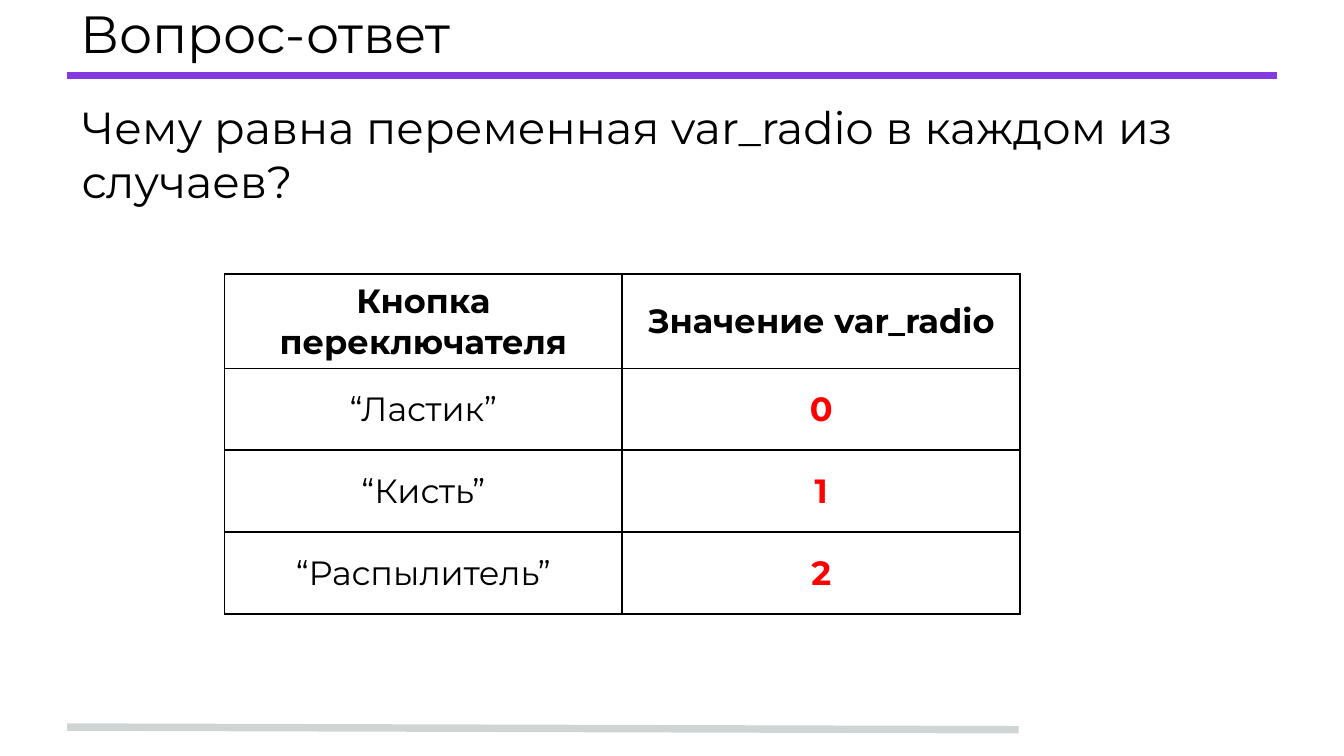
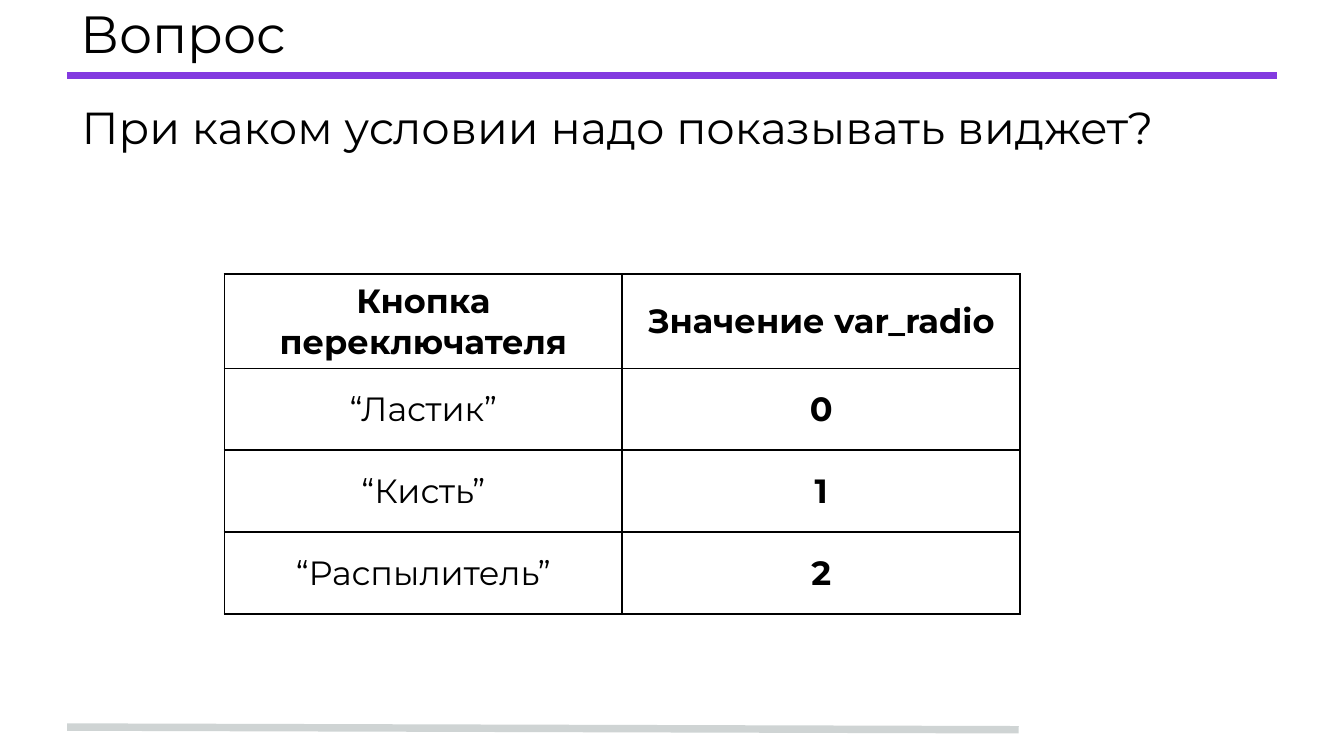
from lxml.etree import SubElement as sub_element
from pptx import Presentation
from pptx.dml.color import RGBColor as Rgb
from pptx.enum.shapes import MSO_CONNECTOR as Connector
from pptx.enum.text import MSO_ANCHOR as Anchor, PP_ALIGN as Align
from pptx.oxml.ns import qn
from pptx.util import Inches, Pt

COLORS = {
    "background": "FFFFFF",
    "text": "000000",
    "answer": "FF0000",
    "title_rule": "833AE0",
    "footer_rule": "CFD4D4",
}
FONT = "Montserrat"
SLIDE_WIDTH = 10
SLIDE_HEIGHT = SLIDE_WIDTH * 9 / 16
LEFT, WIDTH = 0.5, 9
HEADER = ("Кнопка переключателя", "Значение var_radio")
BUTTONS = ("“Ластик”", "“Кисть”", "“Распылитель”")
COLUMN_WIDTH, ROW_HEIGHT = 2.96, 0.61


def color(key):
    """Return the named colour."""
    return Rgb.from_string(COLORS[key])


def apply_format(target, values):
    """Set every attribute of the target from a dict of values."""
    for attribute, value in values.items():
        setattr(target, attribute, value)


def write(frame, text, size, bold=False, color_key="text", indent=0, **paragraph_format):
    """Write one formatted paragraph into a text frame."""
    paragraph = frame.paragraphs[0]
    apply_format(paragraph, paragraph_format)
    if indent:
        paragraph._p.get_or_add_pPr().set("marL", str(Inches(indent)))
    run = paragraph.add_run()
    run.text = text
    apply_format(run.font, {"name": FONT, "size": Pt(size), "bold": bold})
    run.font.color.rgb = color(color_key)


def add_rule(slide, start, end, color_key):
    """Draw a thick line between two points."""
    rule = slide.shapes.add_connector(
        Connector.STRAIGHT, *(Inches(length) for length in (*start, *end))
    )
    rule.line.width = Pt(4)
    rule.line.color.rgb = color(color_key)
    sub_element(rule._element.spPr, qn("a:effectLst"))


def add_text(slide, text, top, height, size, anchor, **paragraph_format):
    """Add a full-width text block."""
    block = slide.shapes.add_textbox(
        Inches(LEFT), Inches(top), Inches(WIDTH), Inches(height)
    )
    frame = block.text_frame
    margins = {f"margin_{side}": Inches(0.1) for side in ("left", "top", "right", "bottom")}
    apply_format(frame, {"word_wrap": True, "vertical_anchor": anchor, **margins})
    write(frame, text, size, **paragraph_format)


def add_borders(cell):
    """Outline a cell with thin lines, placed ahead of its fill."""
    properties = cell._tc.get_or_add_tcPr()
    for position, side in enumerate(("lnL", "lnR", "lnT", "lnB")):
        border = sub_element(properties, qn(f"a:{side}"), w=str(Pt(1)))
        fill = sub_element(border, qn("a:solidFill"))
        sub_element(fill, qn("a:srgbClr"), val=COLORS["text"])
        properties.insert(position, border)


def add_values_table(slide, value_color):
    """Add the table of buttons and their var_radio values."""
    rows = [HEADER, *((button, str(value)) for value, button in enumerate(BUTTONS))]
    table = slide.shapes.add_table(
        len(rows), len(HEADER), Inches(1.67), Inches(2.04),
        Inches(COLUMN_WIDTH * len(HEADER)), Inches(ROW_HEIGHT * len(rows)),
    ).table
    apply_format(table, {"first_row": False, "horz_banding": False})
    for row_index, row in enumerate(rows):
        for column_index, text in enumerate(row):
            cell = table.cell(row_index, column_index)
            is_header, is_value = row_index == 0, column_index == 1
            cell.fill.solid()
            cell.fill.fore_color.rgb = color("background")
            cell.vertical_anchor = Anchor.MIDDLE
            write(
                cell.text_frame, text, 18,
                bold=is_header or is_value,
                color_key=value_color if is_value and not is_header else "text",
                alignment=Align.CENTER,
            )
            add_borders(cell)


def add_question_slide(deck, title, question, question_height, value_color):
    """Build a slide with a title, a question and the values table."""
    slide = deck.slides.add_slide(deck.slide_layouts[6])
    slide.background.fill.solid()
    slide.background.fill.fore_color.rgb = color("background")
    add_rule(slide, (LEFT, 5.41), (7.58, 5.43), "footer_rule")
    add_rule(slide, (LEFT, 0.56), (LEFT + WIDTH, 0.56), "title_rule")
    add_text(slide, title, 0, 0.49, 28, Anchor.MIDDLE)
    add_text(
        slide, question, 0.64, question_height, 24, Anchor.TOP,
        indent=0.01, space_before=Pt(6),
    )
    add_values_table(slide, value_color)


def main():
    """Build and save the deck."""
    deck = Presentation()
    apply_format(
        deck,
        {"slide_width": Inches(SLIDE_WIDTH), "slide_height": Inches(SLIDE_HEIGHT)},
    )
    add_question_slide(
        deck, "Вопрос-ответ",
        "Чему равна переменная var_radio в каждом из случаев?", 1.25, "answer",
    )
    add_question_slide(
        deck, "Вопрос", "При каком условии надо показывать виджет?", 0.79, "text"
    )
    deck.save("out.pptx")


if __name__ == "__main__":
    main()
